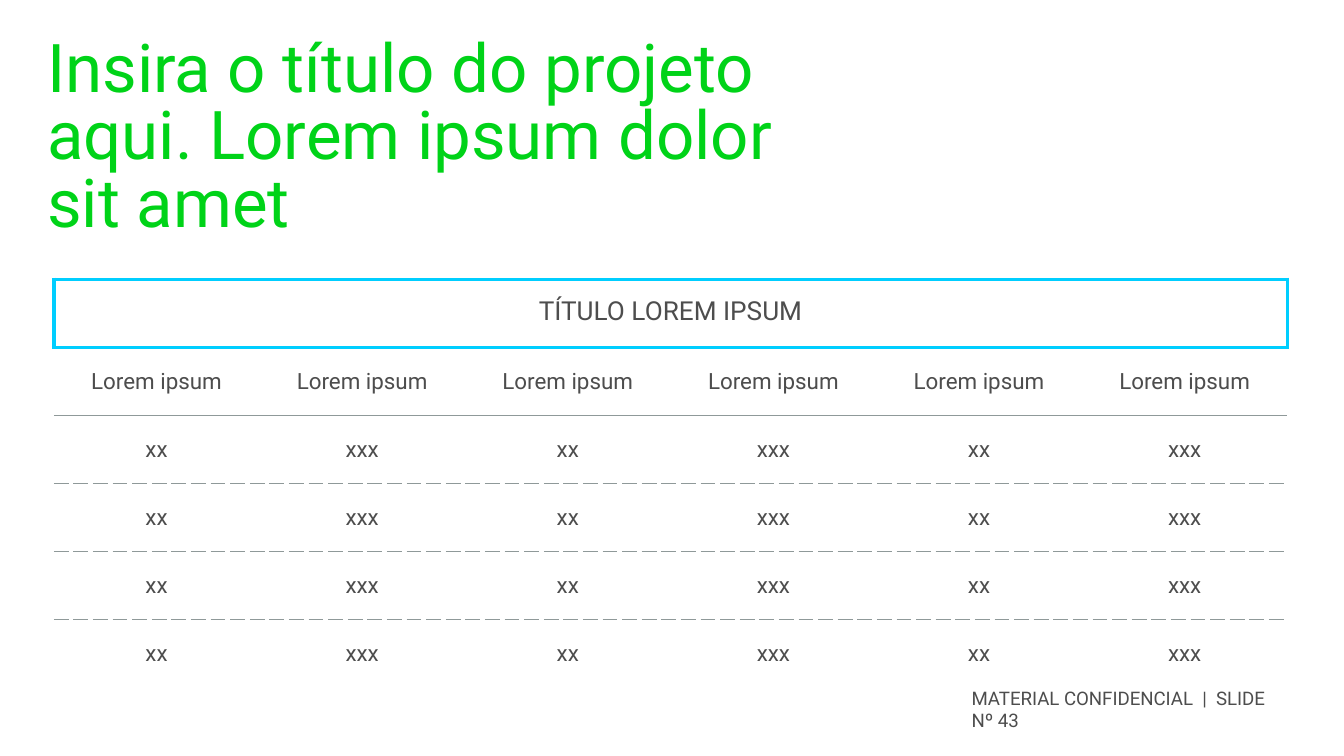
from lxml import etree
from pptx import Presentation
from pptx.dml.color import RGBColor
from pptx.enum.text import MSO_ANCHOR, PP_ALIGN
from pptx.oxml.ns import qn
from pptx.util import Inches, Pt

TOP, MIDDLE = MSO_ANCHOR.TOP, MSO_ANCHOR.MIDDLE
LEFT, CENTER = PP_ALIGN.LEFT, PP_ALIGN.CENTER

WIDTH = 10
HEIGHT = WIDTH * 9 / 16
FONT = "Roboto"
COLORS = {"title": "00D318", "text": "4D4D4D", "frame": "00CEFF",
          "rule": "8F9999", "blank": "FFFFFF"}

TITLE = "Insira o título do projeto aqui. Lorem ipsum dolor sit amet"
FOOTER = "MATERIAL CONFIDENCIAL  |  SLIDE Nº 43"
HEAD = "TÍTULO LOREM IPSUM"
COLS, BODY = 6, 4
ROWS = [[HEAD] + [""] * (COLS - 1), ["Lorem ipsum"] * COLS]
ROWS += [["xx", "xxx"] * (COLS // 2) for _ in range(BODY)]

# Horizontal lines from top to bottom: colour, points, dash
FRAME = ("frame", 2.25, "solid")
DASH = ("rule", 0.75, "dash")
LINES = [FRAME, FRAME, ("rule", 0.75, "solid"), DASH, DASH, DASH,
         ("blank", 1, "solid")]


def style(para, size, color, align=LEFT, space=None):
    para.alignment = align
    if space:
        para.line_spacing = Pt(space)
    for run in para.runs:
        run.font.name = FONT
        run.font.size = Pt(size)
        run.font.color.rgb = RGBColor.from_string(COLORS[color])


def set_frame(frame):
    frame.word_wrap = True
    frame.vertical_anchor = TOP
    frame.margin_left = frame.margin_right = 0
    frame.margin_top = frame.margin_bottom = 0


def place(shape, left, top, width, height):
    shape.left, shape.top = Inches(left), Inches(top)
    shape.width, shape.height = Inches(width), Inches(height)


def set_borders(cell, sides):
    """Put the four border lines ahead of the cell's fill; None hides one."""
    props = cell._tc.get_or_add_tcPr()
    for i, (side, line) in enumerate(sides.items()):
        node = etree.Element(qn("a:ln" + side))
        props.insert(i, node)
        if line is None:
            etree.SubElement(node, qn("a:noFill"))
            continue
        color, width, dash = line
        node.set("w", str(Pt(width)))
        fill = etree.SubElement(node, qn("a:solidFill"))
        etree.SubElement(fill, qn("a:srgbClr"), val=COLORS[color])
        etree.SubElement(node, qn("a:prstDash"), val=dash)


def add_grid(slide):
    shape = slide.shapes.add_table(
        len(ROWS), COLS, Inches(0.4), Inches(2.08),
        Inches(9.18), Inches(3.04))
    table = shape.table
    table.first_row = table.horz_banding = False
    for r, row in enumerate(ROWS):
        side = None if r else FRAME
        for c, text in enumerate(row):
            cell = table.cell(r, c)
            cell.fill.background()
            cell.vertical_anchor = MIDDLE
            cell.text_frame.text = text
            style(cell.text_frame.paragraphs[0], 12 if r else 14,
                  "text", CENTER, 14)
            set_borders(cell, {"L": side, "R": side,
                               "T": LINES[r], "B": LINES[r + 1]})
    table.cell(0, 0).merge(table.cell(0, COLS - 1))


def main():
    deck = Presentation()
    deck.slide_width, deck.slide_height = Inches(WIDTH), Inches(HEIGHT)
    slide = deck.slides.add_slide(deck.slide_layouts[5])
    add_grid(slide)

    title = slide.shapes.title
    place(title, 0.35, 0.29, 5.65, 2.13)
    set_frame(title.text_frame)
    title.text_frame.text = TITLE
    style(title.text_frame.paragraphs[0], 36, "title", space=36)

    footer = slide.shapes.add_textbox(0, 0, 0, 0)
    place(footer, 7.23, 5.11, 2.33, 0.3)
    set_frame(footer.text_frame)
    footer.text_frame.text = FOOTER
    style(footer.text_frame.paragraphs[0], 10, "text")

    deck.save("out.pptx")


if __name__ == "__main__":
    main()
